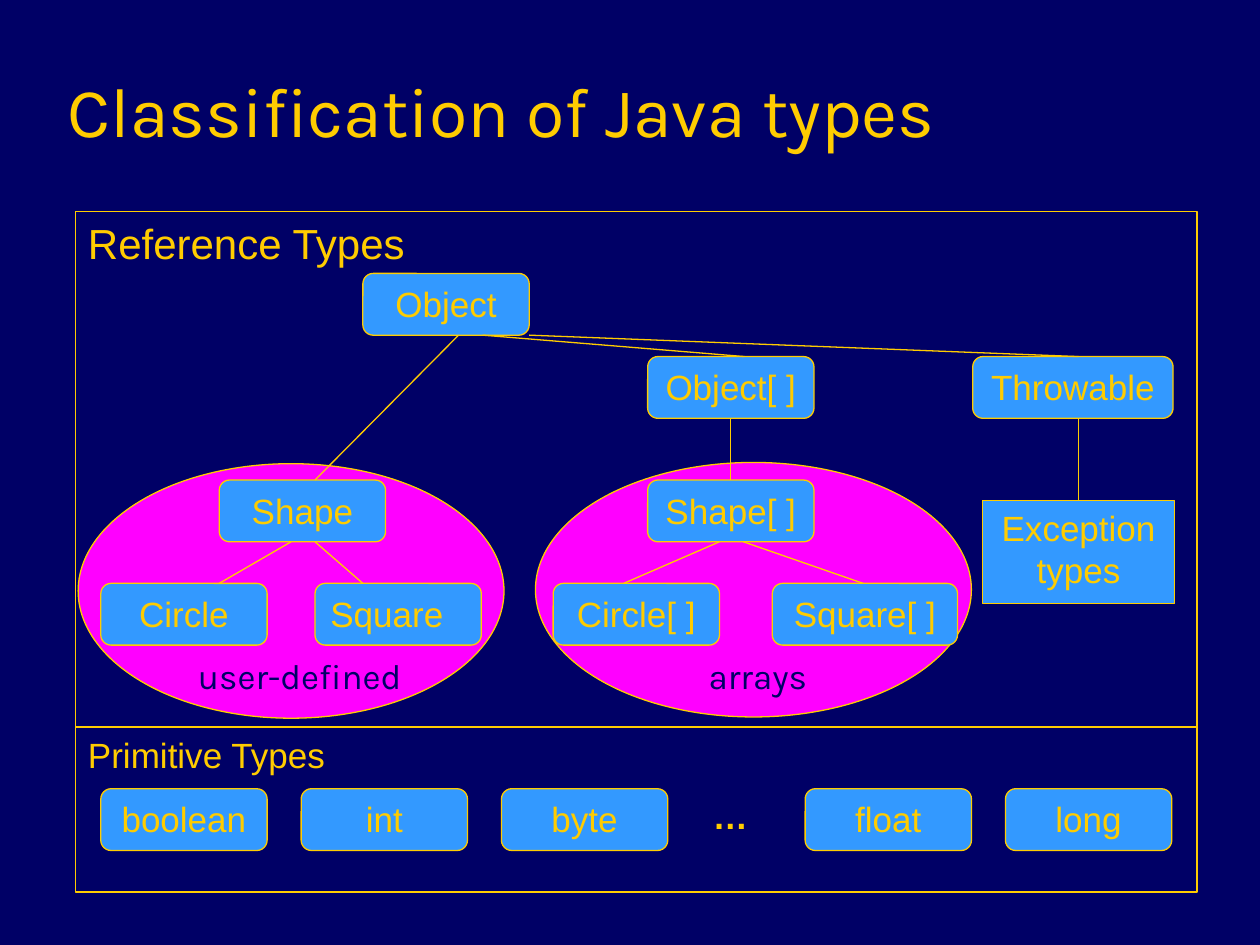
from lxml.etree import SubElement
from pptx import Presentation
from pptx.dml.color import RGBColor
from pptx.enum.shapes import MSO_CONNECTOR, MSO_SHAPE
from pptx.enum.text import MSO_ANCHOR, PP_ALIGN
from pptx.oxml.ns import qn
from pptx.util import Inches, Pt

NAVY = RGBColor(0x00, 0x00, 0x66)
GOLD = RGBColor(0xFF, 0xCC, 0x00)
BLUE = RGBColor(0x33, 0x99, 0xFF)
MAGENTA = RGBColor(0xFF, 0x00, 0xFF)

BOX_WIDTH, BOX_HEIGHT = 1.32, 0.49
OBJECT_TOP, ARRAY_TOP, SHAPE_TOP, LEAF_TOP = 2.17, 2.83, 3.81, 4.63


def write(shape, text, size=20, font="Arial", color=GOLD,
          align=PP_ALIGN.LEFT, anchor=MSO_ANCHOR.TOP, bold=False):
    frame = shape.text_frame
    frame.word_wrap = True
    frame.vertical_anchor = anchor
    para = frame.paragraphs[0]
    para.alignment = align
    span = para.add_run()
    span.text = text
    span.font.name = font
    span.font.size = Pt(size)
    span.font.bold = bold
    span.font.color.rgb = color
    return para


def add_text(page, text, left, top, width, height, **style):
    box = page.shapes.add_textbox(*map(Inches, (left, top, width, height)))
    return box, write(box, text, **style)


def add_outlined(page, kind, left, top, width, height, fill=None):
    shape = page.shapes.add_shape(kind, *map(Inches, (left, top, width, height)))
    shape.shadow.inherit = False
    if fill is None:
        shape.fill.background()
    else:
        shape.fill.solid()
        shape.fill.fore_color.rgb = fill
    shape.line.color.rgb = GOLD
    shape.line.width = Pt(0.75)
    return shape


def add_type(page, text, left, top, width=BOX_WIDTH, height=BOX_HEIGHT,
             kind=MSO_SHAPE.ROUNDED_RECTANGLE, align=PP_ALIGN.CENTER):
    box = add_outlined(page, kind, left, top, width, height, BLUE)
    write(box, text, align=align)
    return box


def add_link(page, start, end, parent=None, child=None):
    """Draw a line; join it to the parent's bottom and the child's top if given."""
    link = page.shapes.add_connector(
        MSO_CONNECTOR.STRAIGHT, *map(Inches, (*start, *end)))
    link.line.color.rgb = GOLD
    link.line.width = Pt(0.75)
    SubElement(link._element.spPr, qn("a:effectLst"))
    if parent is not None:
        link.begin_connect(parent, 2)
    if child is not None:
        link.end_connect(child, 0)


def add_panel(page, heading, size, left, top, width, height):
    panel = add_outlined(page, MSO_SHAPE.RECTANGLE, left, top, width, height)
    write(panel, heading, size=size)


def add_group_label(page, text, left, top, width, height):
    box, para = add_text(page, text, left, top, width, height, font="Karla",
                         color=NAVY, align=PP_ALIGN.CENTER)
    box.text_frame.word_wrap = False
    para.line_spacing = 0.9
    para.space_before = Pt(5)


def add_reference_types(page, left, top, width, height):
    add_panel(page, "Reference Types", 24, left, top, width, height)

    add_type(page, "Object", 2.88, OBJECT_TOP)
    object_array = add_type(page, "Object[ ]", 5.14, ARRAY_TOP)
    add_type(page, "Throwable", 7.72, ARRAY_TOP, 1.59)
    add_type(page, "Shape", 1.74, SHAPE_TOP)
    shape_array = add_type(page, "Shape[ ]", 5.14, SHAPE_TOP)
    add_type(page, "Circle", 0.8, LEAF_TOP)
    add_type(page, "Square", 2.5, LEAF_TOP, align=PP_ALIGN.LEFT)
    add_type(page, "Circle[ ]", 4.39, LEAF_TOP)
    add_type(page, "Square[ ]", 6.13, LEAF_TOP, 1.47)
    exceptions = add_type(page, "Exception types", 7.8, 3.97, 1.52, 0.82,
                          kind=MSO_SHAPE.RECTANGLE)

    object_bottom, array_bottom, shape_bottom = (
        row + BOX_HEIGHT for row in (OBJECT_TOP, ARRAY_TOP, SHAPE_TOP))
    for start_x, end_x, end_y in ((3.64, 2.5, SHAPE_TOP),
                                  (3.83, 5.91, ARRAY_TOP),
                                  (4.2, 8.56, ARRAY_TOP)):
        add_link(page, (start_x, object_bottom), (end_x, end_y))
    for start_x, end_x in ((2.31, 1.74), (2.5, 2.88), (5.71, 4.95), (5.9, 6.85)):
        add_link(page, (start_x, shape_bottom), (end_x, LEAF_TOP))
    add_link(page, (5.8, array_bottom), (5.8, SHAPE_TOP), object_array, shape_array)
    add_link(page, (8.56, array_bottom), (8.56, 3.97), child=exceptions)

    add_group_label(page, "user-defined", 1.45, 5.18, 1.86, 0.4)
    add_group_label(page, "arrays", 5.51, 5.18, 1.01, 0.4)


def add_primitive_types(page, left, top, width, height):
    add_panel(page, "Primitive Types", 20, left, top, width, height)
    row_top, pitch = top + BOX_HEIGHT, 1.59
    for first, names in ((left + 0.2, ("boolean", "int", "byte")),
                         (left + 5.79, ("float", "long"))):
        for column, name in enumerate(names):
            add_type(page, name, first + column * pitch, row_top)
    add_text(page, "…", left + 4.96, row_top, 0.57, BOX_HEIGHT, bold=True)


def main():
    deck = Presentation()
    deck.slide_width, deck.slide_height = Inches(10), Inches(7.5)
    page = deck.slides.add_slide(deck.slide_layouts[6])
    page.background.fill.solid()
    page.background.fill.fore_color.rgb = NAVY

    add_outlined(page, MSO_SHAPE.OVAL, 4.25, 3.67, 3.46, 2.02, MAGENTA)
    add_outlined(page, MSO_SHAPE.OVAL, 0.62, 3.68, 3.38, 2.02, MAGENTA)
    add_text(page, "Classification of Java types", 0.44, 0.25, 8.5, 1,
             size=40, font="Karla", anchor=MSO_ANCHOR.BOTTOM)
    add_reference_types(page, 0.6, 1.68, 8.9, 4.09)
    add_primitive_types(page, 0.6, 5.77, 8.9, 1.31)
    deck.save("out.pptx")


if __name__ == "__main__":
    main()
